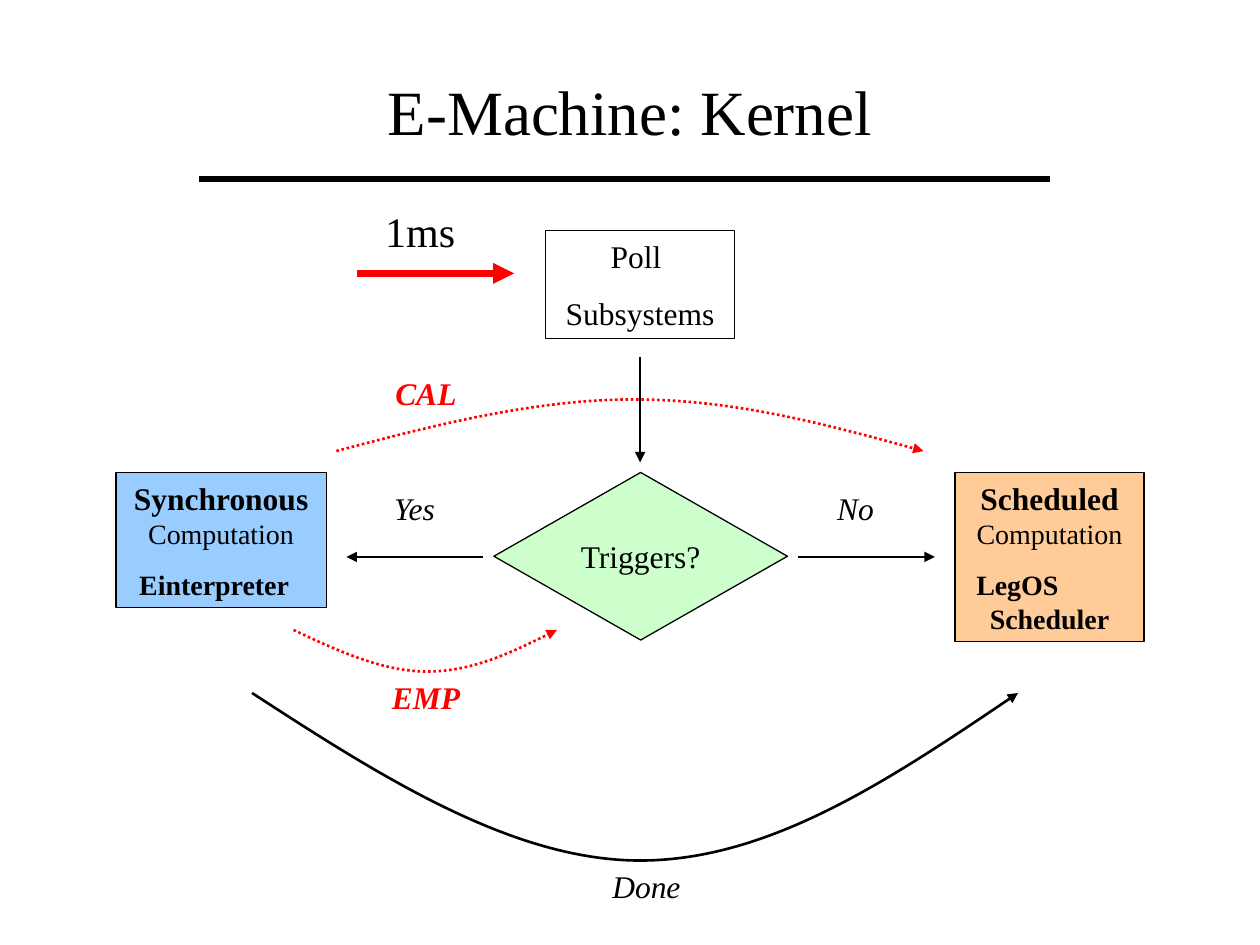
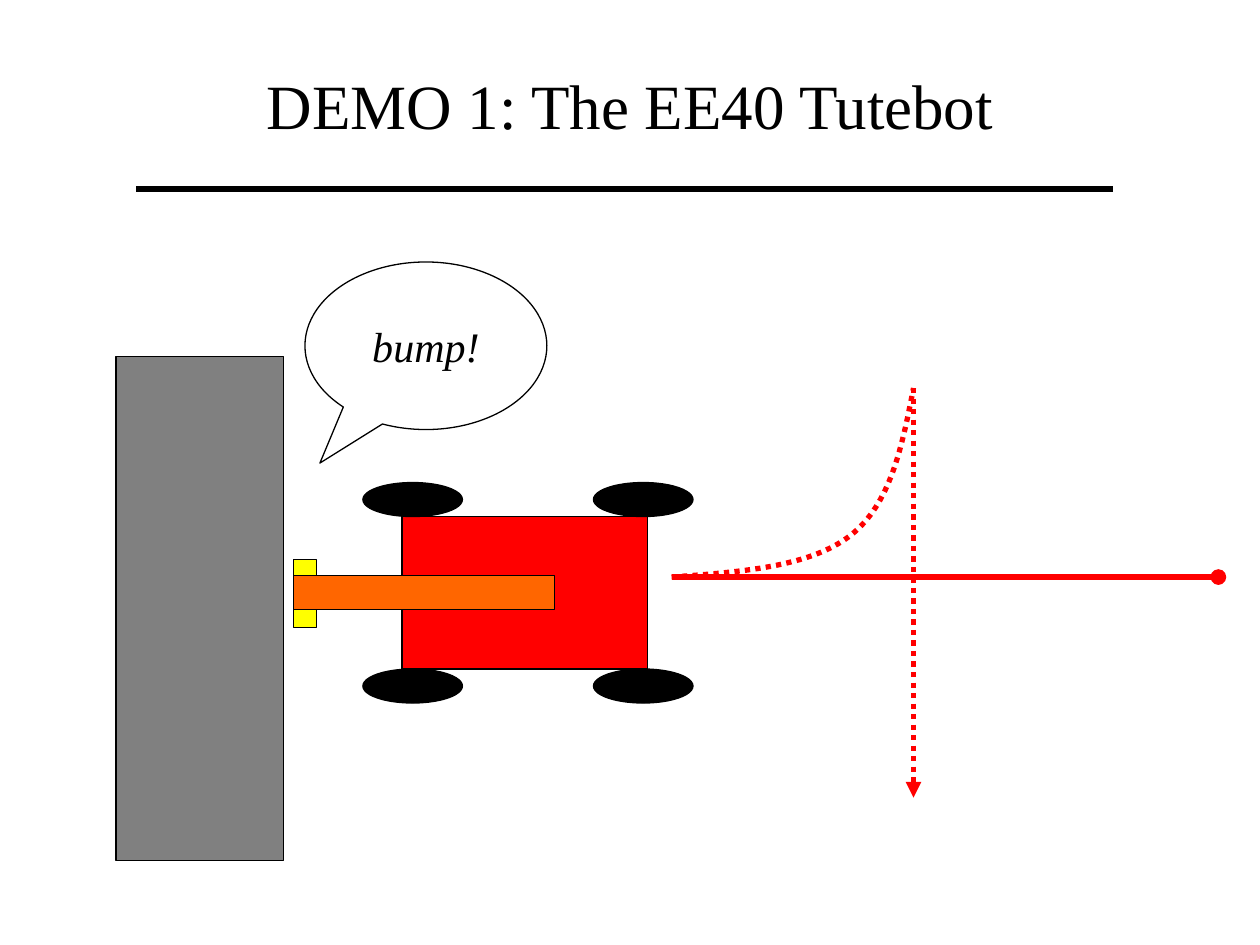
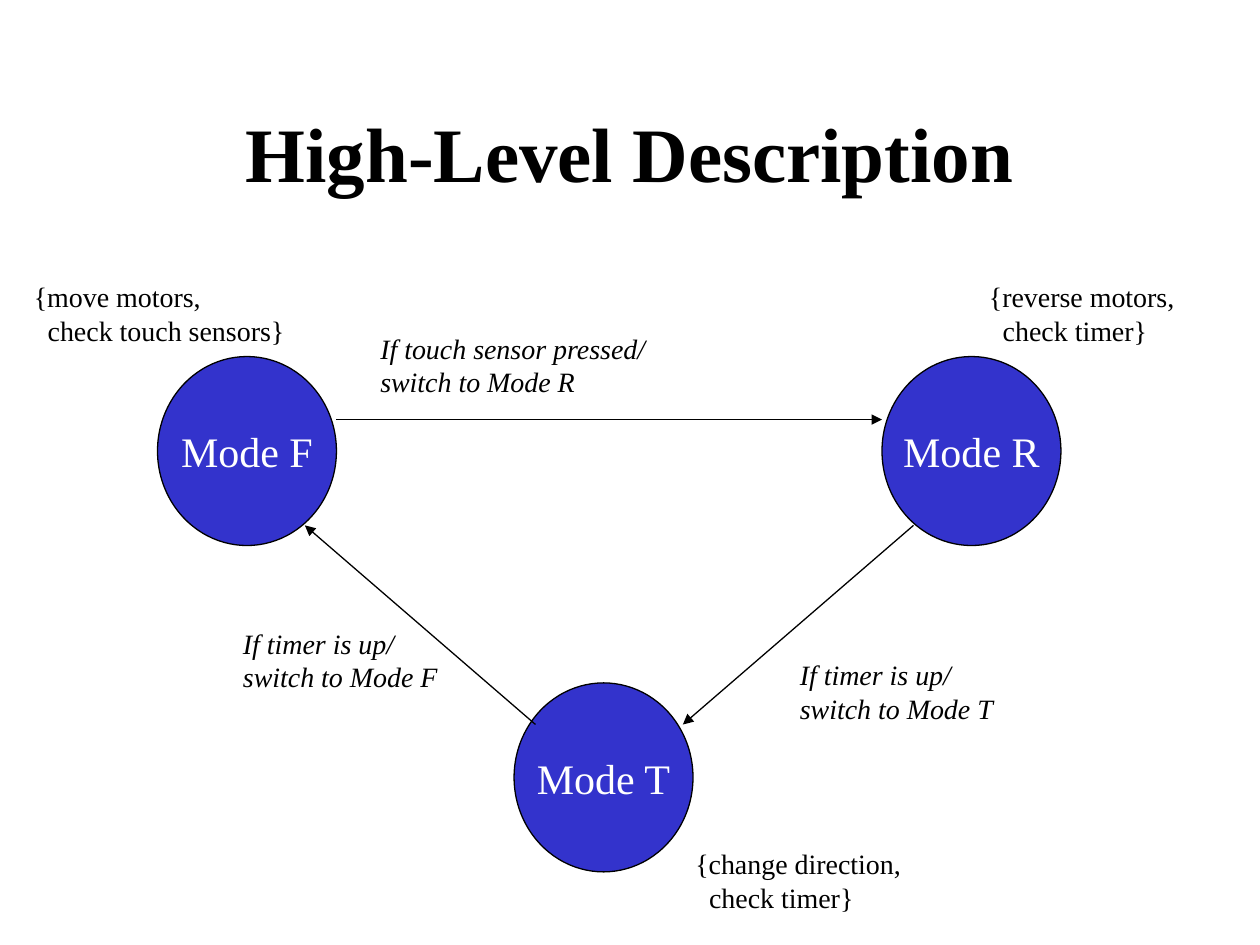
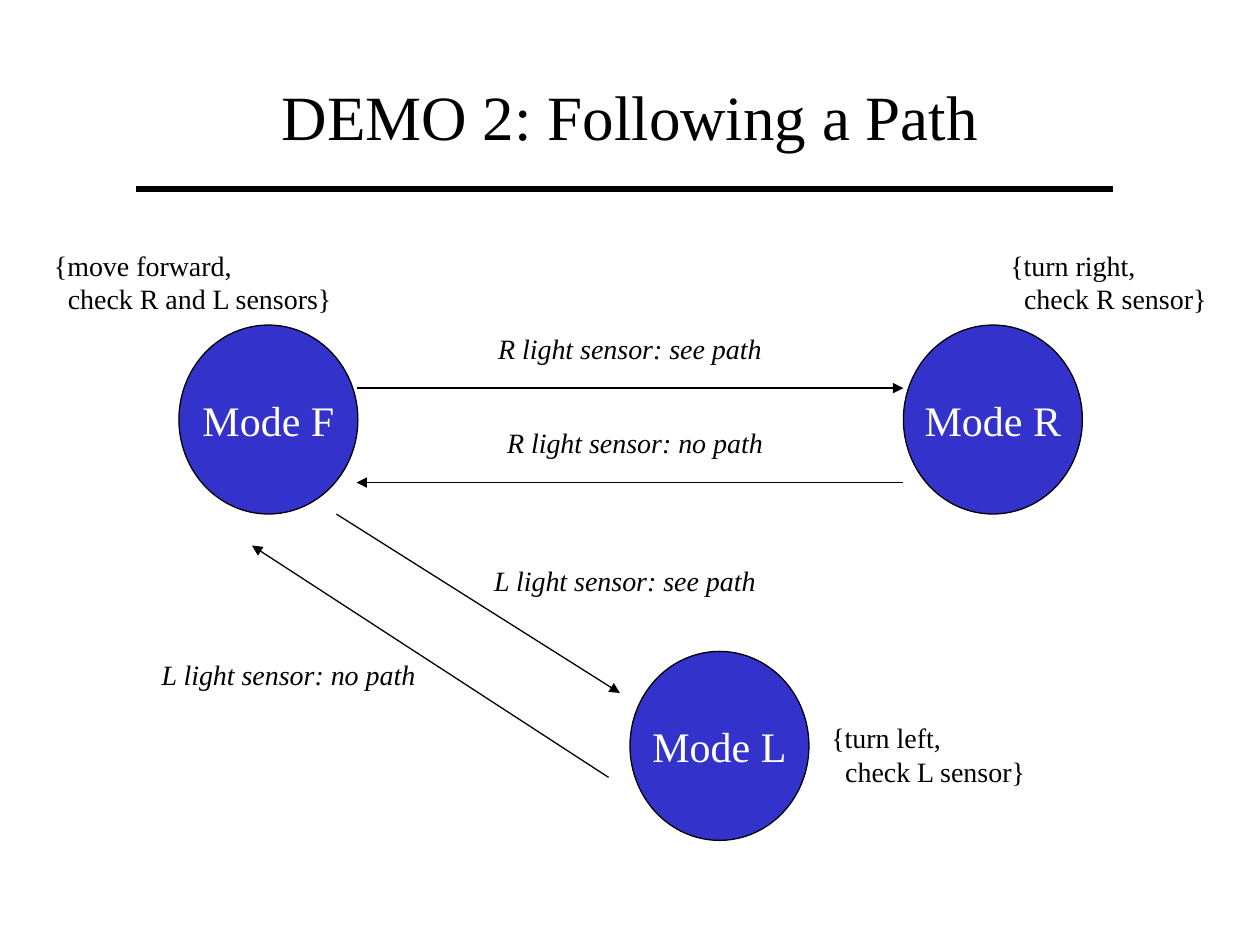
import typing

import lxml.etree
import pptx
import pptx.dml.color
import pptx.enum.dml
import pptx.enum.shapes
import pptx.enum.text
import pptx.oxml.ns
import pptx.util

Inches = pptx.util.Inches
Pt = pptx.util.Pt
qn = pptx.oxml.ns.qn
SHAPE = pptx.enum.shapes.MSO_SHAPE
ALIGN = pptx.enum.text.PP_ALIGN
ANCHOR = pptx.enum.text.MSO_ANCHOR
AUTO_SIZE = pptx.enum.text.MSO_AUTO_SIZE

FONT = "Times New Roman"
COLORS = {
    "black": "000000",
    "white": "FFFFFF",
    "red": "FF0000",
    "yellow": "FFFF00",
    "orange": "FF6600",
    "gray": "808080",
    "green": "CCFFCC",
    "blue": "99CCFF",
    "peach": "FFCC99",
    "state": "3333CC",
}
STATE_WIDTH, STATE_HEIGHT = 1.42, 1.5
LINE_INDENT = 0.11


class Region(typing.NamedTuple):
    """A shape collection with the corner, in inches, that its parts are placed from."""

    shapes: typing.Any
    left: float
    top: float

    def point(self, x, y):
        return Inches(self.left + x), Inches(self.top + y)

    def frame(self, x, y, width, height):
        return (*self.point(x, y), Inches(width), Inches(height))


def rgb(name):
    return pptx.dml.color.RGBColor.from_string(COLORS[name])


def write(paragraph, text, *, size=16, color="black", bold=False, italic=False,
          align=ALIGN.CENTER, before=0, indent=0, right=0):
    """Append a formatted run; indent and right are paragraph margins in inches."""
    properties = paragraph._p.get_or_add_pPr()
    for name, margin in (("marL", indent), ("marR", right)):
        if margin:
            properties.set(name, str(Inches(margin)))
    paragraph.alignment = align
    paragraph.space_before = Pt(before)
    run = paragraph.add_run()
    run.text = text
    run.font.name = FONT
    run.font.size = Pt(size)
    run.font.bold = bold
    run.font.italic = italic
    run.font.color.rgb = rgb(color)


def style_line(line, color, width, dotted=False, end=None):
    line.color.rgb = rgb(color)
    line.width = Pt(width)
    if dotted:
        line.dash_style = pptx.enum.dml.MSO_LINE.ROUND_DOT
    if end:
        outline = line._get_or_add_ln()
        lxml.etree.SubElement(outline, qn("a:tailEnd"), type=end)


def add_shape(region, kind, box, fill=None):
    shape = region.shapes.add_shape(kind, *region.frame(*box))
    shape.shadow.inherit = False
    if fill:
        shape.fill.solid()
        shape.fill.fore_color.rgb = rgb(fill)
    else:
        shape.fill.background()
    style_line(shape.line, "black", 0.75)
    shape.text_frame.vertical_anchor = ANCHOR.MIDDLE
    return shape


def add_caption_shape(region, kind, box, text, fill=None, **text_format):
    """Add a shape with one centred line that does not wrap."""
    shape = add_shape(region, kind, box, fill)
    shape.text_frame.word_wrap = False
    write(shape.text_frame.paragraphs[0], text, **text_format)
    return shape


def add_line(region, start, finish, color="black", width=0.75, **line_format):
    connector = region.shapes.add_connector(
        pptx.enum.shapes.MSO_CONNECTOR.STRAIGHT, *region.point(*start), *region.point(*finish))
    style_line(connector.line, color, width, **line_format)
    lxml.etree.SubElement(connector._element.spPr, qn("a:effectLst"))


def add_curve(region, start, controls, color="black", width=1.5, **line_format):
    """Draw a Bezier curve: each three points in controls make one segment."""
    builder = region.shapes.build_freeform(*region.point(*start))
    builder.add_line_segments([region.point(*control) for control in controls], close=False)
    curve = builder.convert_to_shape()
    curve.shadow.inherit = False
    curve.fill.background()
    style_line(curve.line, color, width, **line_format)
    outline = curve._element.spPr.find(".//" + qn("a:path"))
    segments = outline.findall(qn("a:lnTo"))
    for first in range(0, len(segments), 3):
        bezier = lxml.etree.SubElement(outline, qn("a:cubicBezTo"))
        for segment in segments[first:first + 3]:
            bezier.append(segment[0])
            outline.remove(segment)


def add_label(region, box, lines, hanging=False, **text_format):
    """Add a text box; hanging indents every line after the first."""
    frame = region.shapes.add_textbox(*region.frame(*box)).text_frame
    frame.word_wrap = True
    frame.auto_size = AUTO_SIZE.SHAPE_TO_FIT_TEXT
    for index, text in enumerate(lines):
        paragraph = frame.add_paragraph() if index else frame.paragraphs[0]
        indent = LINE_INDENT if hanging and index else 0
        write(paragraph, text, indent=indent, **text_format)


def add_titled_slide(presentation, text, top, height, rule=None, size=36, bold=False):
    """Add a title-only slide; rule is the start, end and height of its underline."""
    slide = presentation.slides.add_slide(presentation.slide_layouts[5])
    page = Region(slide.shapes, 0, 0)
    title = slide.shapes.title
    title.left, title.top, title.width, title.height = page.frame(0.75, top, 8.5, height)
    title.text_frame.vertical_anchor = ANCHOR.MIDDLE
    title.text_frame.auto_size = AUTO_SIZE.NONE
    write(title.text_frame.paragraphs[0], text, size=size, bold=bold)
    if rule:
        start, finish, y = rule
        add_line(page, (start, y), (finish, y), width=3)
    return slide


def draw_computation(region, box, fill, kind):
    """Add a computation box and return its text frame, for the lines that follow."""
    frame = add_shape(region, SHAPE.RECTANGLE, box, fill).text_frame
    frame.word_wrap = True
    frame.vertical_anchor = ANCHOR.TOP
    heading = frame.paragraphs[0]
    write(heading, kind, size=18, bold=True)
    write(heading, " Computation")
    return frame


def draw_poll(region):
    add_line(region, (1.91, 0.59), (3.16, 0.59), "red", 4, end="triangle")
    add_label(region, (2, 0, 0.83, 0.5), ["1ms"], size=24)
    frame = add_shape(region, SHAPE.RECTANGLE, (3.41, 0.25, 1.5, 0.86)).text_frame
    frame.vertical_anchor = ANCHOR.TOP
    write(frame.paragraphs[0], "Poll ", size=18)
    write(frame.add_paragraph(), "Subsystems", size=18, before=11.2)


def draw_kernel_flow(region):
    draw_poll(region)
    add_caption_shape(region, SHAPE.FLOWCHART_DECISION, (3, 2.17, 2.33, 1.33),
                      "Triggers?", "green", size=18)

    synchronous = draw_computation(region, (0, 2.17, 1.67, 1.07), "blue", "Synchronous")
    write(synchronous.add_paragraph(), "Einterpreter", bold=True, before=10, right=0.11)
    scheduled = draw_computation(region, (6.66, 2.17, 1.5, 1.34), "peach", "Scheduled")
    write(scheduled.add_paragraph(), "LegOS", bold=True, before=10,
          align=ALIGN.LEFT, indent=0.07)
    write(scheduled.add_paragraph(), "Scheduler", bold=True)

    for start, finish in (
        ((2.91, 2.84), (1.83, 2.84)),
        ((5.41, 2.84), (6.5, 2.84)),
        ((4.16, 1.25), (4.16, 2.09)),
    ):
        add_line(region, start, finish, width=1.5, end="triangle")

    add_curve(region, (1.08, 3.92),
              [(2.11, 4.59), (3.15, 5.25), (4.16, 5.25),
               (5.18, 5.25), (6.17, 4.59), (7.16, 3.92)], end="triangle")
    add_curve(region, (1.41, 3.42),
              [(1.77, 3.59), (2.12, 3.75), (2.47, 3.75),
               (2.82, 3.75), (3.16, 3.59), (3.5, 3.42)],
              "red", dotted=True, end="triangle")
    add_curve(region, (1.75, 2),
              [(2.54, 1.79), (3.33, 1.59), (4.11, 1.59),
               (4.89, 1.59), (5.65, 1.79), (6.41, 2)],
              "red", dotted=True, end="triangle")

    for text, x, y in (("Done", 3.75, 5.25), ("Yes", 1.91, 2.25), ("No", 5.41, 2.25)):
        add_label(region, (x, y, 0.92, 0.4), [text], size=18, italic=True)
    for text, y in (("EMP", 3.75), ("CAL", 1.34)):
        add_label(region, (2, y, 0.92, 0.4), [text], size=18, color="red",
                  bold=True, italic=True)


def draw_robot(region):
    """Draw the robot as one group: bumper, body, four wheels and arm."""
    robot = region._replace(shapes=region.shapes.add_group_shape().shapes)
    add_shape(robot, SHAPE.RECTANGLE, (0, 0.61, 0.18, 0.54), "yellow")
    add_shape(robot, SHAPE.RECTANGLE, (0.86, 0.27, 1.95, 1.21), "red")
    for y in (1.48, 0):
        for x in (0.55, 2.38):
            add_shape(robot, SHAPE.OVAL, (x, y, 0.79, 0.27), "black")
    add_shape(robot, SHAPE.RECTANGLE, (0, 0.74, 2.07, 0.27), "orange")


def draw_route(region):
    """Draw the approach, the curved retreat and the new direction."""
    add_line(region, (0, 1.5), (4.34, 1.5), "red", 3, end="oval")
    add_curve(region, (0, 1.5),
              [(0.55, 1.46), (1.1, 1.42), (1.42, 1.17),
               (1.74, 0.92), (1.83, 0.46), (1.92, 0)], "red", 3, dotted=True)
    add_line(region, (1.92, 0), (1.92, 3.25), "red", 3, dotted=True, end="triangle")


def draw_wall(region):
    add_shape(region, SHAPE.RECTANGLE, (0, 0.75, 1.33, 4), "gray")
    callout = add_caption_shape(region, SHAPE.OVAL_CALLOUT, (1.5, 0, 1.92, 1.33),
                                "bump!", size=24, italic=True)
    callout.adjustments[0] = -0.438
    callout.adjustments[1] = 0.7


def draw_state(region, name, note_box, note):
    """Draw a state circle at the region's corner with its note beside it."""
    add_caption_shape(region, SHAPE.OVAL, (0, 0, STATE_WIDTH, STATE_HEIGHT),
                      name, "state", size=24, color="white")
    add_label(region, (*note_box, 0.64), note, hanging=True, align=ALIGN.LEFT)


def draw_state_machine(slide, states, arrows, conditions, align):
    page = Region(slide.shapes, 0, 0)
    for left, top, name, note_box, note in states:
        draw_state(Region(slide.shapes, left, top), name, note_box, note)
    for start, finish in arrows:
        add_line(page, start, finish, end="triangle")
    for box, lines in conditions:
        add_label(page, box, lines, italic=True, align=align)


def add_kernel_slide(presentation):
    slide = add_titled_slide(presentation, "E-Machine: Kernel", 0.5, 0.75,
                             rule=(1.58, 8.33, 1.42))
    draw_kernel_flow(Region(slide.shapes, 0.92, 1.58))


def add_bump_slide(presentation, rule):
    slide = add_titled_slide(presentation, "DEMO 1: The EE40 Tutebot", 0.33, 1, rule)
    draw_robot(Region(slide.shapes, 2.33, 3.83))
    draw_route(Region(slide.shapes, 5.33, 3.08))
    draw_wall(Region(slide.shapes, 0.92, 2.08))


def add_description_slide(presentation):
    slide = add_titled_slide(presentation, "High-Level Description", 0.58, 1.25,
                             size=44, bold=True)
    states = [
        (1.25, 2.83, "Mode F", (-1.08, -0.66, 2.25), ["{move motors,", "check touch sensors}"]),
        (7, 2.83, "Mode R", (0.75, -0.66, 2.25), ["{reverse motors,", "check timer}"]),
        (4.08, 5.42, "Mode T", (1.34, 1.25, 2.5), ["{change direction,", "check timer}"]),
    ]
    arrows = [
        ((2.67, 3.33), (7, 3.33)),
        ((7.25, 4.17), (5.42, 5.75)),
        ((4.25, 5.75), (2.42, 4.17)),
    ]
    conditions = [
        ((2.92, 2.58, 2.5, 0.64), ["If touch sensor pressed/ switch to Mode R"]),
        ((6.25, 5.17, 2.5, 0.64), ["If timer is up/", "switch to Mode T"]),
        ((1.83, 4.92, 2.25, 0.64), ["If timer is up/", "switch to Mode F"]),
    ]
    draw_state_machine(slide, states, arrows, conditions, ALIGN.LEFT)


def add_path_slide(presentation, rule):
    slide = add_titled_slide(presentation, "DEMO 2: Following a Path", 0.5, 0.83, rule)
    states = [
        (1.42, 2.58, "Mode F", (-1.09, -0.66, 2.58), ["{move forward,", "check R and L sensors}"]),
        (7.17, 2.58, "Mode R", (0.75, -0.66, 1.83), ["{turn right,", "check R sensor}"]),
        (5, 5.17, "Mode L", (1.5, 0.5, 2.5), ["{turn left,", "check L sensor}"]),
    ]
    arrows = [
        ((2.83, 3.08), (7.17, 3.08)),
        ((7.17, 3.83), (2.83, 3.83)),
        ((2.67, 4.08), (4.92, 5.5)),
        ((4.83, 6.17), (2, 4.33)),
    ]
    conditions = [
        ((3.5, 2.58, 3, 0.37), ["R light sensor: see path"]),
        ((3.58, 3.33, 2.92, 0.37), ["R light sensor: no path"]),
        ((3.5, 4.42, 2.92, 0.37), ["L light sensor: see path"]),
        ((0.83, 5.17, 2.92, 0.37), ["L light sensor: no path"]),
    ]
    draw_state_machine(slide, states, arrows, conditions, ALIGN.CENTER)


def main():
    presentation = pptx.Presentation()
    presentation.slide_width = Inches(10)
    presentation.slide_height = Inches(7.5)
    demo_rule = (1.08, 8.83, 1.5)
    add_kernel_slide(presentation)
    add_bump_slide(presentation, demo_rule)
    add_description_slide(presentation)
    add_path_slide(presentation, demo_rule)
    presentation.save("out.pptx")


if __name__ == "__main__":
    main()
